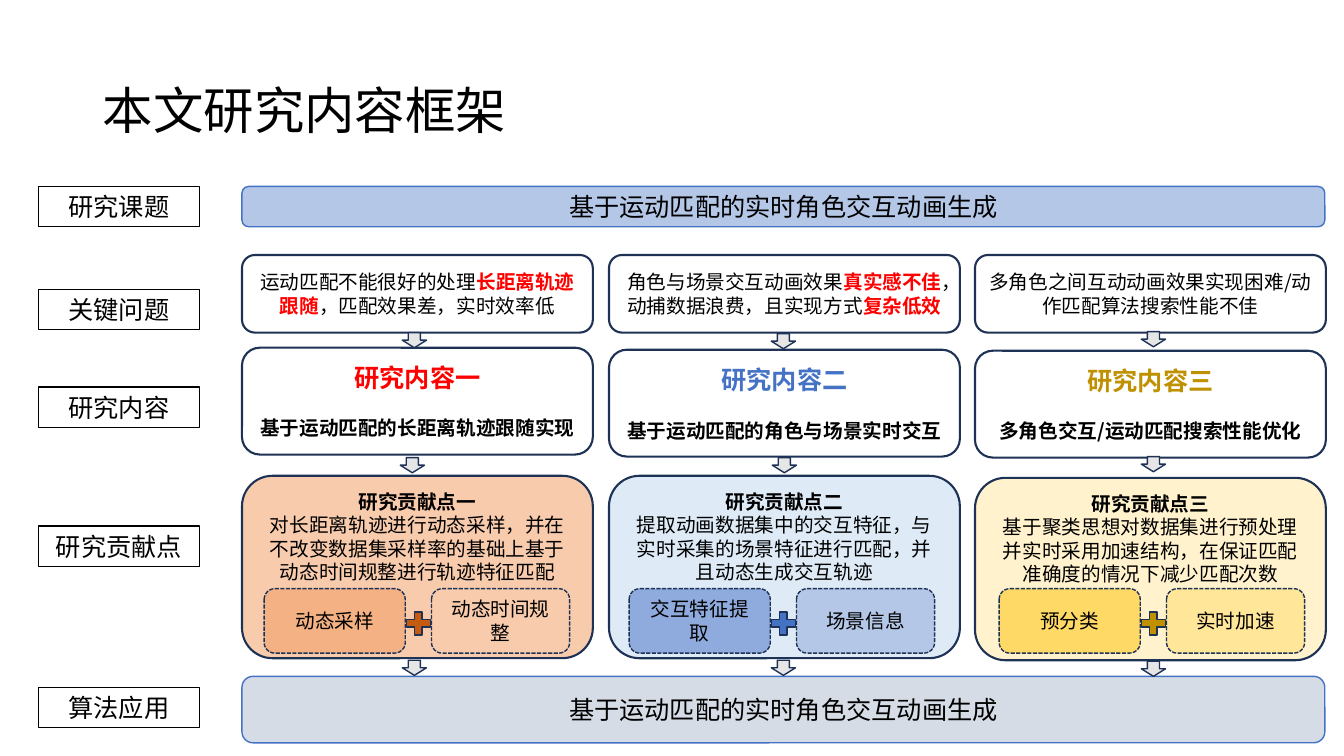
import pptx
import pptx.dml.color
import pptx.enum.dml
import pptx.enum.shapes
import pptx.enum.text
import pptx.oxml.ns
import pptx.util
from lxml import etree

SHAPE = pptx.enum.shapes.MSO_SHAPE
ANCHOR = pptx.enum.text.MSO_ANCHOR
ALIGN = pptx.enum.text.PP_ALIGN
EMU_PER_PX = 9144
COLORS = {
    "black": "000000", "white": "FFFFFF", "red": "FF0000", "navy": "1E3256",
    "blue": "4472C4", "sky": "B4C7E7", "steel": "8FAADC", "ice": "DEEBF7",
    "slate": "D6DCE5", "gray": "E7E6E6", "peach": "F8CBAD", "orange": "F4B183",
    "rust": "C55A11", "cream": "FFF2CC", "amber": "FFD966", "butter": "FFE699",
    "gold": "BF9000",
}
TOPIC = "基于运动匹配的实时角色交互动画生成"
ROW_LABELS = [("研究课题", 185), ("关键问题", 287), ("研究内容", 384),
              ("研究贡献点", 522), ("算法应用", 682)]
COLUMNS = [
    {
        "problem": [("运动匹配不能很好的处理", "black", False), ("长距离轨迹跟随", "red", True),
                    ("，匹配效果差，实时效率低", "black", False)],
        "heading": "研究内容一", "accent": "red",
        "content": "基于运动匹配的长距离轨迹跟随实现", "content_top": 345,
        "point": "研究贡献点一", "point_top": 472, "point_fill": "peach",
        "detail": "对长距离轨迹进行动态采样，并在不改变数据集采样率的基础上基于动态时间规整进行轨迹特征匹配",
        "methods": [("动态采样", "orange"), ("动态时间规整", "peach")],
        "methods_left": 262, "plus": "rust",
        "arrows": [(399, 330), (397, 454), (399, 655)],
    },
    {
        "problem": [("角色与场景交互动画效果", "black", False), ("真实感不佳", "red", True),
                    ("，动捕数据浪费，且实现方式", "black", False), ("复杂低效", "red", True)],
        "heading": "研究内容二", "accent": "blue",
        "content": "基于运动匹配的角色与场景实时交互", "content_top": 347,
        "point": "研究贡献点二", "point_top": 472, "point_fill": "ice",
        "detail": "提取动画数据集中的交互特征，与实时采集的场景特征进行匹配，并且动态生成交互轨迹",
        "methods": [("交互特征提取", "steel"), ("场景信息", "sky")],
        "methods_left": 624, "plus": "blue",
        "arrows": [(765, 331), (766, 454), (765, 655)],
    },
    {
        "problem": [("多角色之间互动动画效果实现困难/动作匹配算法搜索性能不佳", "black", False)],
        "heading": "研究内容三", "accent": "gold",
        "content": "多角色交互/运动匹配搜索性能优化", "content_top": 348,
        "point": "研究贡献点三", "point_top": 474, "point_fill": "cream",
        "detail": "基于聚类思想对数据集进行预处理并实时采用加速结构，在保证匹配准确度的情况下减少匹配次数",
        "methods": [("预分类", "amber"), ("实时加速", "butter")],
        "methods_left": 991, "plus": "gold",
        "arrows": [(1132, 329), (1132, 453), (1132, 656)],
    },
]


def px(length):
    return pptx.util.Emu(length * EMU_PER_PX)


def color(name):
    return pptx.dml.color.RGBColor.from_string(COLORS[name])


class Framework:
    """Hold the text style and the current page, and draw each kind of element."""

    def __init__(self, page, font):
        self.page = page
        self.font = font

    def span(self, para, text, size, ink="black", bold=False):
        span = para.add_run()
        span.text = text
        span.font.size = pptx.util.Pt(size)
        span.font.bold = bold
        span.font.color.rgb = color(ink)
        span.font.name = self.font
        east_asian = etree.SubElement(span._r.get_or_add_rPr(), pptx.oxml.ns.qn("a:ea"))
        east_asian.set("typeface", self.font)

    def title(self, text, left, top, width, height):
        box = self.page.shapes.title
        box.left, box.top, box.width, box.height = map(px, (left, top, width, height))
        box.text_frame.vertical_anchor = ANCHOR.MIDDLE
        box.text_frame.auto_size = pptx.enum.text.MSO_AUTO_SIZE.NONE
        para = box.text_frame.paragraphs[0]
        para.alignment = ALIGN.LEFT
        para.line_spacing = 0.9
        self.span(para, text, 36)

    def shape(self, kind, left, top, width, height, fill, line="navy", weight=1):
        box = self.page.shapes.add_shape(kind, px(left), px(top), px(width), px(height))
        box.shadow.inherit = False
        box.fill.solid()
        box.fill.fore_color.rgb = color(fill)
        box.line.color.rgb = color(line)
        box.line.width = pptx.util.Pt(weight)
        return box

    def paragraph(self, box, spans, size, first=True, gap=0):
        frame = box.text_frame
        para = frame.paragraphs[0] if first else frame.add_paragraph()
        para.alignment = ALIGN.CENTER
        para.space_before = pptx.util.Pt(gap)
        for text, ink, bold in spans:
            self.span(para, text, size, ink, bold)

    def label(self, text, top):
        box = self.shape(SHAPE.RECTANGLE, 38, top, 160, 40, "white", "black")
        self.paragraph(box, [(text, "black", False)], 18)

    def banner(self, text, top, height, fill):
        box = self.shape(SHAPE.ROUNDED_RECTANGLE, 240, top, 1074, height, fill, "blue")
        self.paragraph(box, [(text, "black", False)], 18)

    def card(self, left, top, height, fill="white"):
        return self.shape(SHAPE.ROUNDED_RECTANGLE, left, top, 348, height, fill, weight=1.5)

    def method(self, text, left, width, fill):
        box = self.shape(SHAPE.ROUNDED_RECTANGLE, left, 584, width, 64, fill)
        box.line.dash_style = pptx.enum.dml.MSO_LINE.SQUARE_DOT
        self.paragraph(box, [(text, "black", False)], 14)

    def column(self, left, column):
        problem = self.card(left, 253, 77)
        self.paragraph(problem, column["problem"], 14)

        content = self.card(left, column["content_top"], 106)
        self.paragraph(content, [(column["heading"], column["accent"], True)], 18)
        self.paragraph(content, [(column["content"], "black", True)], 14, first=False, gap=17)

        point = self.card(left, column["point_top"], 181, column["point_fill"])
        point.text_frame.vertical_anchor = ANCHOR.TOP
        self.paragraph(point, [(column["point"], "black", True)], 14)
        self.paragraph(point, [(column["detail"], "black", False)], 14, first=False)

        for arrow_left, arrow_top in column["arrows"]:
            self.shape(SHAPE.DOWN_ARROW, arrow_left, arrow_top, 24, 15, "gray")

        start = column["methods_left"]
        for (text, fill), offset, width in zip(column["methods"], (0, 166), (140, 137)):
            self.method(text, start + offset, width, fill)
        self.shape(SHAPE.MATH_PLUS, start + 137, 603, 32, 31, column["plus"])


def main():
    deck = pptx.Presentation()
    deck.slide_width, deck.slide_height = px(1333), px(750)
    page = deck.slides.add_slide(deck.slide_layouts[5])
    framework = Framework(page, "Noto Sans CJK SC")
    framework.title("本文研究内容框架", 92, 40, 1150, 145)
    for text, top in ROW_LABELS:
        framework.label(text, top)
    framework.banner(TOPIC, 185, 40, "sky")
    framework.banner(TOPIC, 671, 66, "slate")
    for index, column in enumerate(COLUMNS):
        framework.column(240 + (727 * index + 1) // 2, column)
    deck.save("out.pptx")


if __name__ == "__main__":
    main()
